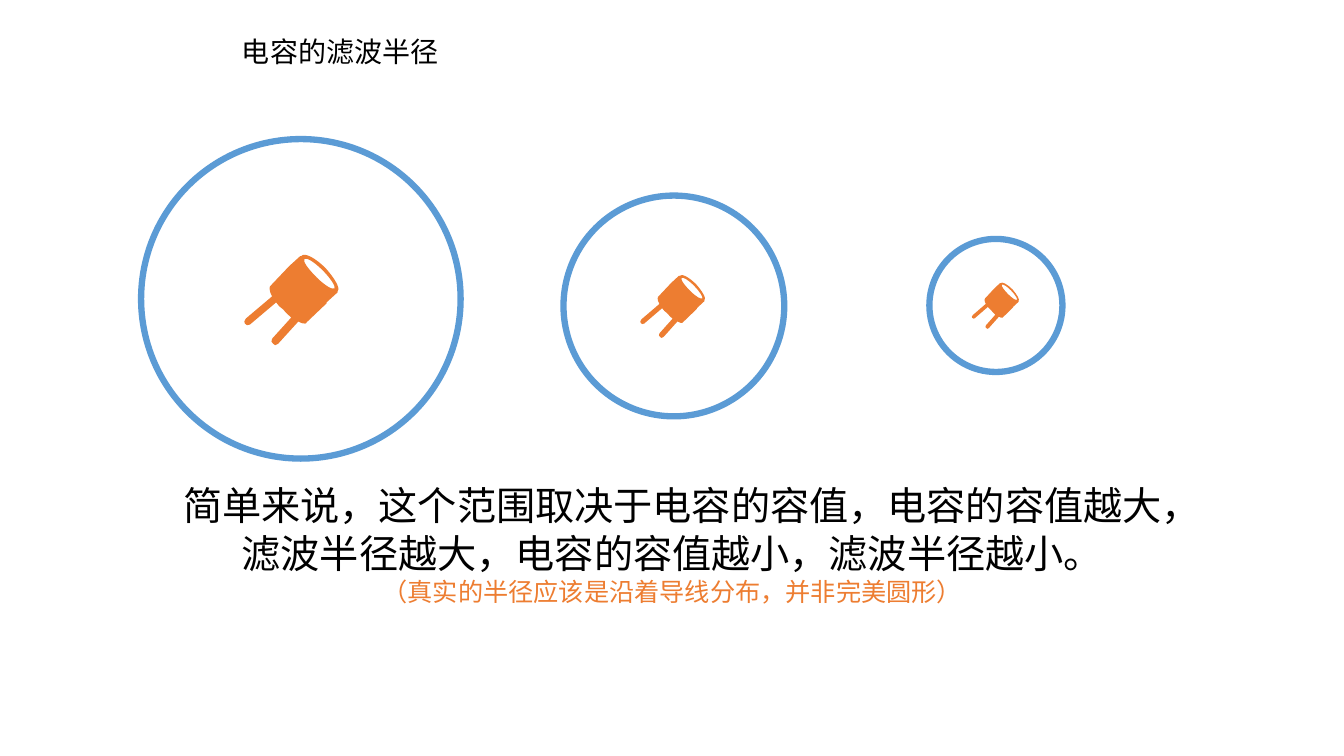
from lxml import etree
from pptx import Presentation
from pptx.dml.color import RGBColor
from pptx.enum.shapes import MSO_SHAPE as Preset
from pptx.enum.text import MSO_AUTO_SIZE as AutoSize, PP_ALIGN as Align
from pptx.oxml.ns import qn
from pptx.util import Pt

EMU_PER_PX = 9144  # 100 px to the inch
COLORS = {"ink": "000000", "capacitor": "ED7D31", "radius": "5B9BD5"}

# Capacitor outline on a 96 by 92 grid: 2 numbers are a line, 6 a Bézier curve
GRID_WIDTH, GRID_HEIGHT = 96, 92
CAPACITOR_BODY = [
    (81, 16), (71, 6, 60, 0, 57, 4), (56, 4), (45, 14), (26, 34), (26, 34, 24, 37, 28, 44),
    (2, 66), (0, 68, 0, 70, 1, 71), (2, 73, 4, 73, 6, 72),
    (32, 50), (34, 53, 36, 55, 39, 57), (42, 61, 45, 63, 47, 65),
    (28, 86), (27, 88, 27, 90, 29, 91), (30, 93, 32, 93, 34, 91),
    (54, 69), (61, 73, 63, 70, 62, 70), (82, 51), (82, 51, 82, 50, 82, 50),
    (93, 40), (93, 40, 93, 39, 93, 39), (96, 36, 90, 26, 81, 16),
]
CAPACITOR_TOP = [
    (90, 36), (88, 38, 80, 33, 72, 25), (64, 17, 58, 9, 60, 7),
    (62, 5, 70, 10, 78, 18), (86, 26, 91, 34, 90, 36),
]


def px(length):
    return round(length * EMU_PER_PX)


def color(name):
    return RGBColor.from_string(COLORS[name])


def draw_outline(path, outline):
    """Append one closed contour of lines and curves to a geometry path."""
    for index, segment in enumerate(outline):
        kind = "moveTo" if index == 0 else "lnTo" if len(segment) == 2 else "cubicBezTo"
        step = etree.SubElement(path, qn(f"a:{kind}"))
        for x, y in zip(segment[::2], segment[1::2]):
            etree.SubElement(step, qn("a:pt"), x=str(x), y=str(y))
    etree.SubElement(path, qn("a:close"))


class SlideWriter:
    font = "Arial"
    ring_width = Pt(4.5)

    def __init__(self, slide):
        self.shapes = slide.shapes

    def text(self, box, lines, wrap):
        frame = self.shapes.add_textbox(*map(px, box)).text_frame
        frame.word_wrap = wrap
        frame.auto_size = AutoSize.SHAPE_TO_FIT_TEXT
        frame.text = "\n".join(words for words, _, _ in lines)
        for paragraph, (_, size, ink) in zip(frame.paragraphs, lines):
            paragraph.alignment = Align.CENTER
            font = paragraph.runs[0].font
            font.name, font.size = self.font, Pt(size)
            font.color.rgb = color(ink)

    def ring(self, left, top, diameter):
        ring = self.shapes.add_shape(Preset.OVAL, *map(px, (left, top, diameter, diameter)))
        ring.shadow.inherit = False
        ring.fill.background()
        ring.line.color.rgb = color("radius")
        ring.line.width = self.ring_width

    def capacitor(self, left, top, width, height):
        builder = self.shapes.build_freeform(0, 0, scale=EMU_PER_PX)
        builder.add_line_segments([(width, 0), (width, height)])
        capacitor = builder.convert_to_shape(px(left), px(top))
        # Curves need the path written in XML
        path = next(capacitor.element.iter(qn("a:path")))
        for corner in list(path):
            path.remove(corner)
        path.set("w", str(GRID_WIDTH))
        path.set("h", str(GRID_HEIGHT))
        draw_outline(path, CAPACITOR_BODY)
        draw_outline(path, CAPACITOR_TOP)
        capacitor.shadow.inherit = False
        capacitor.fill.solid()
        capacitor.fill.fore_color.rgb = color("capacitor")
        capacitor.line.fill.background()


def main():
    deck = Presentation()
    deck.slide_width, deck.slide_height = px(4000 / 3), px(750)
    writer = SlideWriter(deck.slides.add_slide(deck.slide_layouts[6]))

    # Title
    writer.text((229, 29, 217, 44), [("电容的滤波半径", 20, "ink")], wrap=False)

    # Capacitors with their filter radius, from large to small
    for capacitor, radius in [
        ((242, 250, 96, 92), (140, 138, 317)),
        ((635, 271, 66, 64), (559, 194, 219)),
        ((964, 279, 48, 47), (922, 237, 132)),
    ]:
        writer.capacitor(*capacitor)
        writer.ring(*radius)

    # Explanation
    writer.text((159, 473, 1016, 138), [
        ("简单来说，这个范围取决于电容的容值，电容的容值越大，滤波半径越大，"
         "电容的容值越小，滤波半径越小。", 28, "ink"),
        ("（真实的半径应该是沿着导线分布，并非完美圆形）", 18, "capacitor"),
    ], wrap=True)

    deck.save("out.pptx")


if __name__ == "__main__":
    main()
